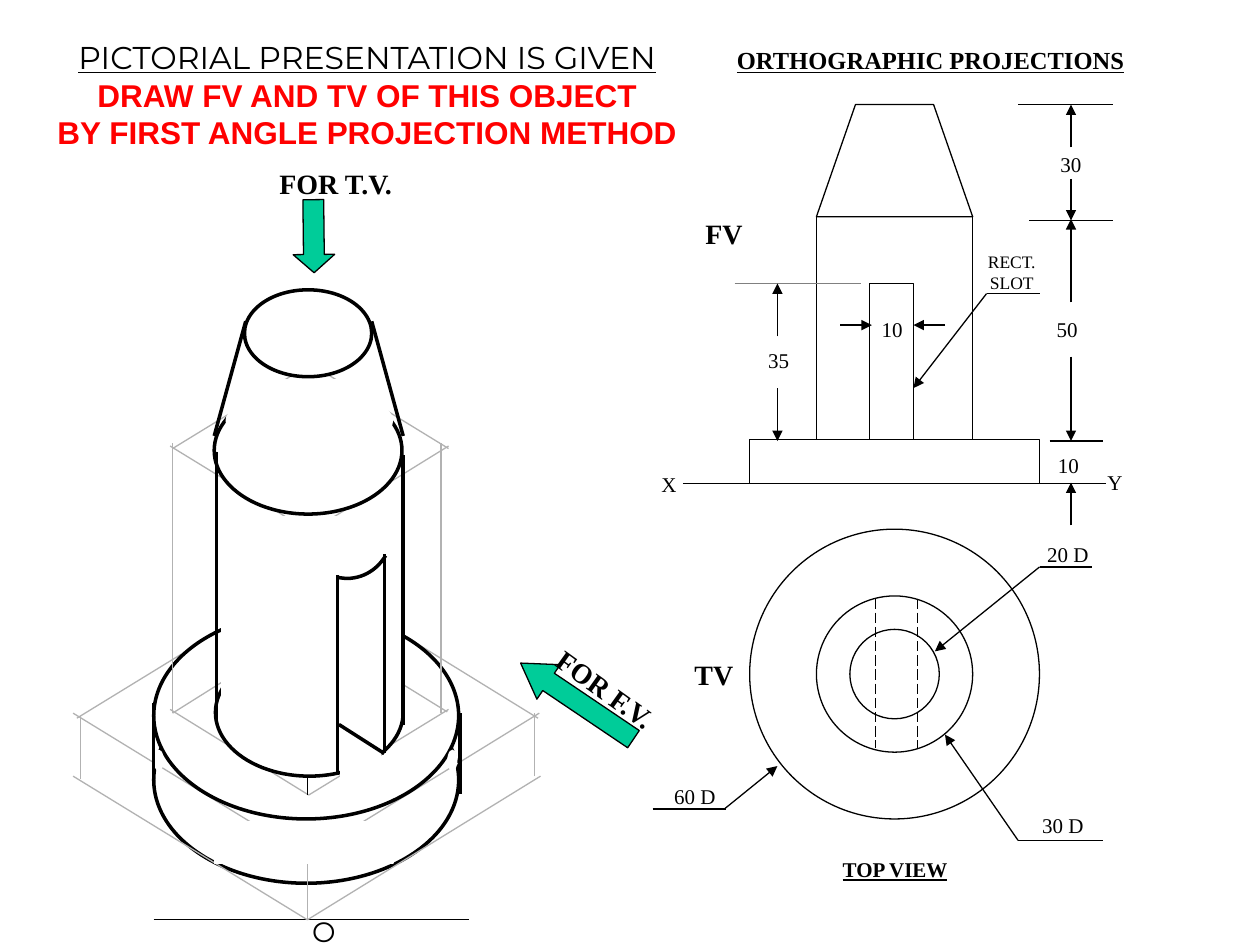
from lxml import etree
from pptx import Presentation
from pptx.dml.color import RGBColor
from pptx.enum.dml import MSO_LINE
from pptx.enum.shapes import MSO_CONNECTOR, MSO_SHAPE
from pptx.enum.text import MSO_ANCHOR, MSO_AUTO_SIZE, PP_ALIGN
from pptx.oxml.ns import qn
from pptx.util import Emu, Pt

EMU_PER_PX = 9144
BLACK = RGBColor(0x00, 0x00, 0x00)
WHITE = RGBColor(0xFF, 0xFF, 0xFF)
RED = RGBColor(0xFF, 0x00, 0x00)
GREEN = RGBColor(0x00, 0xCC, 0x99)
CONSTRUCTION = RGBColor(0xB2, 0xB2, 0xB2)
GRAY = RGBColor(0x80, 0x80, 0x80)
SERIF, SANS, DISPLAY = "Times New Roman", "Arial", "Montserrat"
THIN, THICK = 0.75, 2
STRAIGHT = MSO_CONNECTOR.STRAIGHT
ELLIPSE, RECT, ARROW = MSO_SHAPE.OVAL, MSO_SHAPE.RECTANGLE, MSO_SHAPE.LEFT_ARROW
LONG_DASH = MSO_LINE.LONG_DASH
CENTER, LEFT = PP_ALIGN.CENTER, PP_ALIGN.LEFT
TOP = MSO_ANCHOR.TOP
GROW, NO_FIT = MSO_AUTO_SIZE.SHAPE_TO_FIT_TEXT, MSO_AUTO_SIZE.NONE


def px(*lengths):
    """Turn px lengths into a list of EMU lengths."""
    return [Emu(round(length * EMU_PER_PX)) for length in lengths]


def paint(shape, fill, line, width):
    """Set fill and outline of a shape, either of which may be None."""
    shape.shadow.inherit = False
    if fill is None:
        shape.fill.background()
    else:
        shape.fill.solid()
        shape.fill.fore_color.rgb = fill
    if line is None:
        shape.line.fill.background()
    else:
        shape.line.color.rgb = line
        shape.line.width = Pt(width)


def add_figure(group, kind, bounds, line=BLACK, width=THIN, fill=WHITE):
    """Add a preset shape with bounds left, top, width, height."""
    shape = group.shapes.add_shape(kind, *px(*bounds))
    paint(shape, fill, line, width)
    return shape


def add_lines(group, segments, color=BLACK, width=THIN, dash=None, arrow=False):
    """Add straight connectors, optionally with an arrowhead at each end point."""
    for segment in segments:
        connector = group.shapes.add_connector(STRAIGHT, *px(*segment))
        connector.line.color.rgb = color
        connector.line.width = Pt(width)
        if dash is not None:
            connector.line.dash_style = dash
        properties = connector._element.spPr
        if arrow:
            line = properties.find(qn("a:ln"))
            etree.SubElement(line, qn("a:tailEnd"), type="triangle")
        etree.SubElement(properties, qn("a:effectLst"))


def add_outline(group, points, closed, fill, width):
    """Add a polygon or an open polyline through px points."""
    corners = [px(*point) for point in points]
    builder = group.shapes.build_freeform(*corners[0])
    builder.add_line_segments(corners[1:], close=closed)
    paint(builder.convert_to_shape(), fill, BLACK, width)


def bezier(start, first, second, end, steps=16):
    """Return points along a cubic curve."""
    return [
        [(1 - t) ** 3 * a + 3 * (1 - t) ** 2 * t * b + 3 * (1 - t) * t**2 * c + t**3 * d
         for a, b, c, d in zip(start, first, second, end)]
        for t in (step / steps for step in range(steps + 1))
    ]


def style(para, size, font=SERIF, color=BLACK, bold=False, underline=False, align=CENTER):
    """Format a whole paragraph."""
    para.alignment = align
    para.font.size = Pt(size)
    para.font.name = font
    para.font.color.rgb = color
    para.font.bold = bold
    para.font.underline = underline


def add_label(parent, text, bounds, size=12, **looks):
    """Add a text box that does not wrap, one paragraph per line."""
    box = parent.shapes.add_textbox(*px(*bounds))
    frame = box.text_frame
    frame.text = text
    frame.word_wrap = False
    frame.auto_size = GROW
    for para in frame.paragraphs:
        style(para, size, **looks)
    return box


def add_title(page):
    """Fill the title placeholder with the task."""
    title = page.shapes.title
    title.left, title.top, title.width, title.height = px(35, 25, 513, 100)
    frame = title.text_frame
    frame.text = ("PICTORIAL PRESENTATION IS GIVEN\nDRAW FV AND TV OF THIS OBJECT\n"
                  "BY FIRST ANGLE PROJECTION METHOD")
    frame.word_wrap = False
    frame.auto_size = NO_FIT
    frame.vertical_anchor = TOP
    heading, *task = frame.paragraphs
    style(heading, 18, DISPLAY, underline=True)
    for para in task:
        style(para, 18, SANS, RED, bold=True)


def add_pictorial(page):
    """Draw the isometric object with its construction lines."""
    group = page.shapes.add_group_shape()
    add_figure(group, ELLIPSE, (122, 537, 242, 164), width=THICK)
    add_lines(group, [(122, 730, 372, 730)])
    add_lines(group, [
        (244, 730, 58, 616), (244, 730, 429, 616), (427, 570, 242, 456),
        (61, 570, 247, 456), (244, 730, 244, 680), (424, 616, 424, 566),
        (64, 618, 64, 568), (244, 680, 58, 566), (243, 680, 428, 566),
    ], CONSTRUCTION)
    add_figure(group, ELLIPSE, (122, 486, 242, 164), width=THICK)
    add_lines(group, [(365, 566, 365, 630)], width=THICK)
    add_lines(group, [
        (355, 565, 245, 497), (137, 566, 247, 497), (245, 631, 135, 563),
        (245, 631, 356, 563), (137, 566, 137, 352), (350, 566, 350, 352),
        (356, 356, 245, 288), (137, 356, 248, 288), (246, 422, 135, 354),
        (246, 422, 356, 354),
    ], CONSTRUCTION)
    add_lines(group, [(244, 631, 244, 417)])
    for bounds in [(170, 307, 149, 101), (171, 515, 149, 101)]:
        add_figure(group, ELLIPSE, bounds, width=THICK)
    add_lines(group, [(172, 573, 172, 359), (320, 575, 320, 361)], width=THICK)
    add_figure(group, ELLIPSE, (194, 230, 101, 69), width=THICK)
    add_lines(group, [(195, 255, 170, 346), (295, 255, 320, 346)], width=THICK)
    for bounds in [(195, 301, 100, 25), (176, 410, 142, 158), (170, 652, 142, 33)]:
        add_figure(group, RECT, bounds, line=WHITE)
    add_figure(group, ELLIPSE, (179, 309, 133, 50), line=None)
    add_lines(group, [(268, 615, 268, 456), (305, 598, 305, 440)], width=THICK)
    slot_top = bezier((306, 441), (298, 455), (282, 462), (267, 458))
    add_outline(group, slot_top, False, None, THICK)
    add_figure(group, RECT, (270, 596, 33, 21), line=None)
    add_lines(group, [(305, 598, 269, 575)], width=THICK)
    for left in (355, 122):
        add_figure(group, ELLIPSE, (left, 595, 8, 17), line=None)
    add_lines(group, [(122, 558, 122, 622)], width=THICK)
    add_label(group, "O", (238, 721, 37, 37), 16, font=DISPLAY)


def add_top_view(page):
    """Draw the concentric circles of the top view with their diameters."""
    group = page.shapes.add_group_shape()
    for diameter in (230, 124, 71):
        left, top = 710 - diameter / 2, 535 - diameter / 2
        add_figure(group, ELLIPSE, (left, top, diameter, diameter))
    add_lines(group, [(x, 475, x, 594) for x in (695, 728)], dash=LONG_DASH)
    add_lines(group, [(575, 642, 617, 608), (808, 667, 750, 583), (825, 450, 742, 517)],
              arrow=True)
    add_lines(group, [(518, 642, 576, 642), (825, 450, 867, 450), (808, 667, 875, 667)])
    for text, left, top in [("20 D", 819, 425), ("30 D", 815, 640), ("60 D", 523, 617)]:
        add_label(group, text, (left, top, 57, 30))
    add_label(group, "TV", (539, 517, 55, 37), 16, bold=True)


def add_front_view(page):
    """Draw the front view with its dimensions."""
    group = page.shapes.add_group_shape()
    add_figure(group, RECT, (648, 172, 124, 177))
    add_outline(group, [(648, 172), (679, 83), (741, 83), (772, 172)], True, WHITE, THIN)
    for bounds in [(690, 225, 35, 124), (595, 349, 230, 35)]:
        add_figure(group, RECT, bounds)
    add_lines(group, [
        (542, 384, 878, 384), (833, 350, 875, 350), (817, 175, 883, 175),
        (808, 83, 883, 83), (783, 233, 825, 233),
    ])
    add_lines(group, [(583, 225, 683, 225)], GRAY)
    add_lines(group, [
        (850, 117, 850, 83), (850, 142, 850, 175), (617, 267, 617, 225),
        (617, 308, 617, 350), (850, 417, 850, 383), (667, 258, 692, 258),
        (750, 258, 725, 258), (850, 240, 850, 174), (850, 283, 850, 350),
        (783, 233, 725, 308),
    ], arrow=True)
    for text, left, top in [
        ("10", 688, 246), ("30", 830, 115), ("50", 827, 246), ("10", 828, 354),
        ("35", 598, 271), ("X", 511, 369), ("Y", 865, 368),
    ]:
        add_label(group, text, (left, top, 40, 30))
    add_label(group, "FV", (547, 167, 55, 37), 16, bold=True)
    add_label(group, "RECT.\nSLOT", (771, 194, 64, 44), 10)


def add_direction(page, text, arrow_bounds, arrow_turn, head, text_bounds, text_turn):
    """Add a viewing arrow with its caption."""
    group = page.shapes.add_group_shape()
    arrow = add_figure(group, ARROW, arrow_bounds, fill=GREEN)
    arrow.rotation = arrow_turn
    arrow.adjustments[1] = head
    caption = add_label(group, text, text_bounds, 16, bold=True, align=LEFT)
    caption.rotation = text_turn


def main():
    """Build the slide and save it."""
    deck = Presentation()
    deck.slide_width, deck.slide_height = px(1000, 750)
    page = deck.slides.add_slide(deck.slide_layouts[5])
    add_title(page)
    add_pictorial(page)
    add_top_view(page)
    add_front_view(page)
    add_direction(page, "FOR T.V.", (220, 171, 58, 33), 269.4, 0.44, (212, 127, 114, 37), 0)
    add_direction(page, "FOR F.V.", (404, 540, 108, 33), 34, 0.81, (426, 530, 113, 37), 35.6)
    heading = {"bold": True, "underline": True, "align": LEFT}
    add_label(page, "ORTHOGRAPHIC PROJECTIONS", (575, 31, 328, 34), 14, **heading)
    add_label(page, "TOP VIEW", (659, 675, 104, 30), **heading)
    deck.save("out.pptx")


if __name__ == "__main__":
    main()
